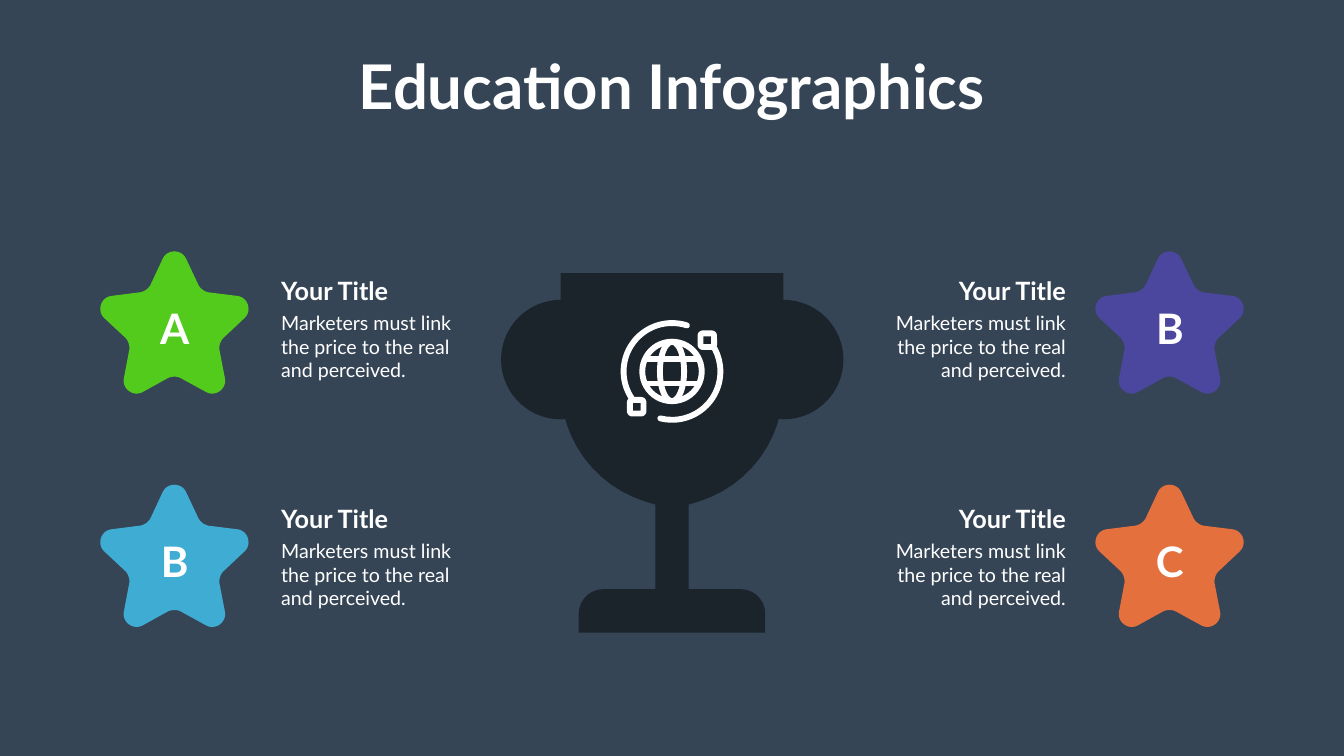
"""Build a trophy slide with four labelled stars."""
from math import cos, radians, sin

from pptx import Presentation
from pptx.dml.color import RGBColor
from pptx.enum.shapes import MSO_CONNECTOR, MSO_SHAPE
from pptx.enum.text import MSO_AUTO_SIZE, PP_ALIGN
from pptx.oxml.ns import qn
from pptx.util import Inches, Pt
from lxml.etree import SubElement

WIDE, HIGH = 26.66, 15
MID = WIDE / 2
WHITE = RGBColor(0xFF, 0xFF, 0xFF)
SLATE = RGBColor(0x36, 0x45, 0x56)
DARK = RGBColor(0x1B, 0x23, 0x2B)
GREEN = RGBColor(0x53, 0xCB, 0x1C)
BLUE = RGBColor(0x3F, 0xAD, 0xD3)
VIOLET = RGBColor(0x4B, 0x46, 0x9E)
ORANGE = RGBColor(0xE3, 0x70, 0x3D)
STROKE = 8.4

STAR_X, STAR_Y = (3.46, 23.2), 6.52
STAR_ROW, TEXT_ROW = 4.63, 4.53
TEXT_X, TEXT_Y = (5.48, 17.67), 5.41
SIDES = (PP_ALIGN.LEFT, PP_ALIGN.RIGHT)
STARS = (
    (0, 0, "A", GREEN),
    (0, 1, "B", BLUE),
    (1, 0, "B", VIOLET),
    (1, 1, "C", ORANGE),
)
BODY = "Marketers must link the price to the real and perceived."


def curve(*ends, count=12):
    """Return points along a cubic curve given by four points."""
    points = []
    for step in range(count + 1):
        t = step / count
        parts = ((1 - t) ** 3, 3 * t * (1 - t) ** 2, 3 * t * t * (1 - t), t ** 3)
        points.append(tuple(sum(p * e[i] for p, e in zip(parts, ends)) for i in (0, 1)))
    return points


def paint(shape, color):
    """Fill a shape plainly."""
    shape.shadow.inherit = False
    shape.fill.solid()
    shape.fill.fore_color.rgb = color
    shape.line.fill.background()


def form(shapes, points, x, y, color):
    """Draw a closed outline whose points are relative to x, y."""
    spots = [(Inches(x + px), Inches(y + py)) for px, py in points]
    pen = shapes.build_freeform(*spots[0], scale=1.0)
    pen.add_line_segments(spots[1:], close=True)
    paint(pen.convert_to_shape(), color)


def solid(shapes, kind, x, y, wide, high):
    """Draw a filled preset part of the trophy."""
    paint(shapes.add_shape(kind, *map(Inches, (x, y, wide, high))), DARK)


def ring(shapes, kind, x, y, wide, high):
    """Draw a white outline centred on x, y."""
    box = (x - wide / 2, y - high / 2, wide, high)
    shape = shapes.add_shape(kind, *map(Inches, box))
    shape.shadow.inherit = False
    shape.fill.background()
    shape.line.color.rgb = WHITE
    shape.line.width = Pt(STROKE)
    return shape


def label(shapes, box, text, size, bold=True, align=PP_ALIGN.CENTER, wrap=True):
    """Add one line or block of white text."""
    frame = shapes.add_textbox(*map(Inches, box)).text_frame
    frame.word_wrap = wrap
    frame.auto_size = MSO_AUTO_SIZE.SHAPE_TO_FIT_TEXT
    para = frame.paragraphs[0]
    para.alignment = align
    run = para.add_run()
    run.text = text
    run.font.name = "Lato"
    run.font.size = Pt(size)
    run.font.bold = bold
    run.font.color.rgb = WHITE


def star(shapes, x, y, color):
    """Draw a star by turning one rounded arm five times."""
    arm = curve((-0.23, -1.39), (-0.14, -1.58), (0.14, -1.58), (0.23, -1.39))
    arm += curve((0.48, -0.86), (0.52, -0.79), (0.59, -0.74), (0.67, -0.72))
    points = []
    for turn in range(5):
        c, s = cos(radians(72 * turn)), sin(radians(72 * turn))
        points += [(c * px - s * py, s * px + c * py) for px, py in arm]
    form(shapes, points, x, y, color)


def even(shapes, half, y):
    """Draw a dark outline from its right half, mirrored about the middle."""
    left = [(-px, py) for px, py in reversed(half)]
    form(shapes, half + left, MID, y, DARK)


def trophy(shapes):
    """Draw handles, bowl, stem and foot."""
    for x in (MID - 2.21, MID + 2.21):
        solid(shapes, MSO_SHAPE.OVAL, x - 1.18, 5.95, 2.37, 2.37)
    bowl = curve((2.21, 2.24), (2.21, 3.29), (1.53, 4.22), (0.53, 4.53))
    even(shapes, [(2.21, 0)] + bowl + [(0, 4.69)], 5.42)
    solid(shapes, MSO_SHAPE.RECTANGLE, MID - 0.33, 9.49, 0.66, 2.39)
    foot = curve((1.36, 0), (1.63, 0), (1.85, 0.22), (1.85, 0.49))
    even(shapes, foot + [(1.85, 0.86)], 11.69)


def globe(shapes):
    """Draw a globe with two orbits, each starting at a small square."""
    y = 7.37
    for wide in (1.18, 0.48):
        ring(shapes, MSO_SHAPE.OVAL, MID, y, wide, 1.18)
    for side in (-1, 1):
        level = Inches(y + side * 0.24)
        line = shapes.add_connector(
            MSO_CONNECTOR.STRAIGHT, Inches(MID - 0.54), level, Inches(MID + 0.54), level)
        line.line.color.rgb = WHITE
        line.line.width = Pt(STROKE)
        SubElement(line.element.spPr, qn("a:effectLst"))
        ring(shapes, MSO_SHAPE.ROUNDED_RECTANGLE,
             MID + side * 0.7, y - side * 0.66 + 0.04, 0.27, 0.27)
    for start, end in ((146, 288), (332, 104)):
        arc = ring(shapes, MSO_SHAPE.ARC, MID, y, 1.92, 1.92)
        arc.adjustments[0], arc.adjustments[1] = start * 0.6, end * 0.6
        arc.element.spPr.find(qn("a:ln")).set("cap", "rnd")


def main():
    """Build and save the slide."""
    deck = Presentation()
    deck.slide_width, deck.slide_height = Inches(WIDE), Inches(HIGH)
    slide = deck.slides.add_slide(deck.slide_layouts[6])
    slide.background.fill.solid()
    slide.background.fill.fore_color.rgb = SLATE
    shapes = slide.shapes
    trophy(shapes)
    label(shapes, (6.88, 0.91, 12.89, 1.58), "Education Infographics", 88, wrap=False)
    for col, row, mark, color in STARS:
        x, y = STAR_X[col], STAR_Y + row * STAR_ROW
        star(shapes, x, y, color)
        label(shapes, (x - 0.75, y - 0.57, 1.51, 1.11), mark, 60)
        group = shapes.add_group_shape().shapes
        x, y = TEXT_X[col], TEXT_Y + row * TEXT_ROW
        label(group, (x, y + 0.71, 3.57, 1.51), BODY, 28, False, SIDES[col])
        label(group, (x, y, 3.57, 0.71), "Your Title", 36, True, SIDES[col])
    globe(shapes.add_group_shape().shapes)
    deck.save("out.pptx")


if __name__ == "__main__":
    main()
